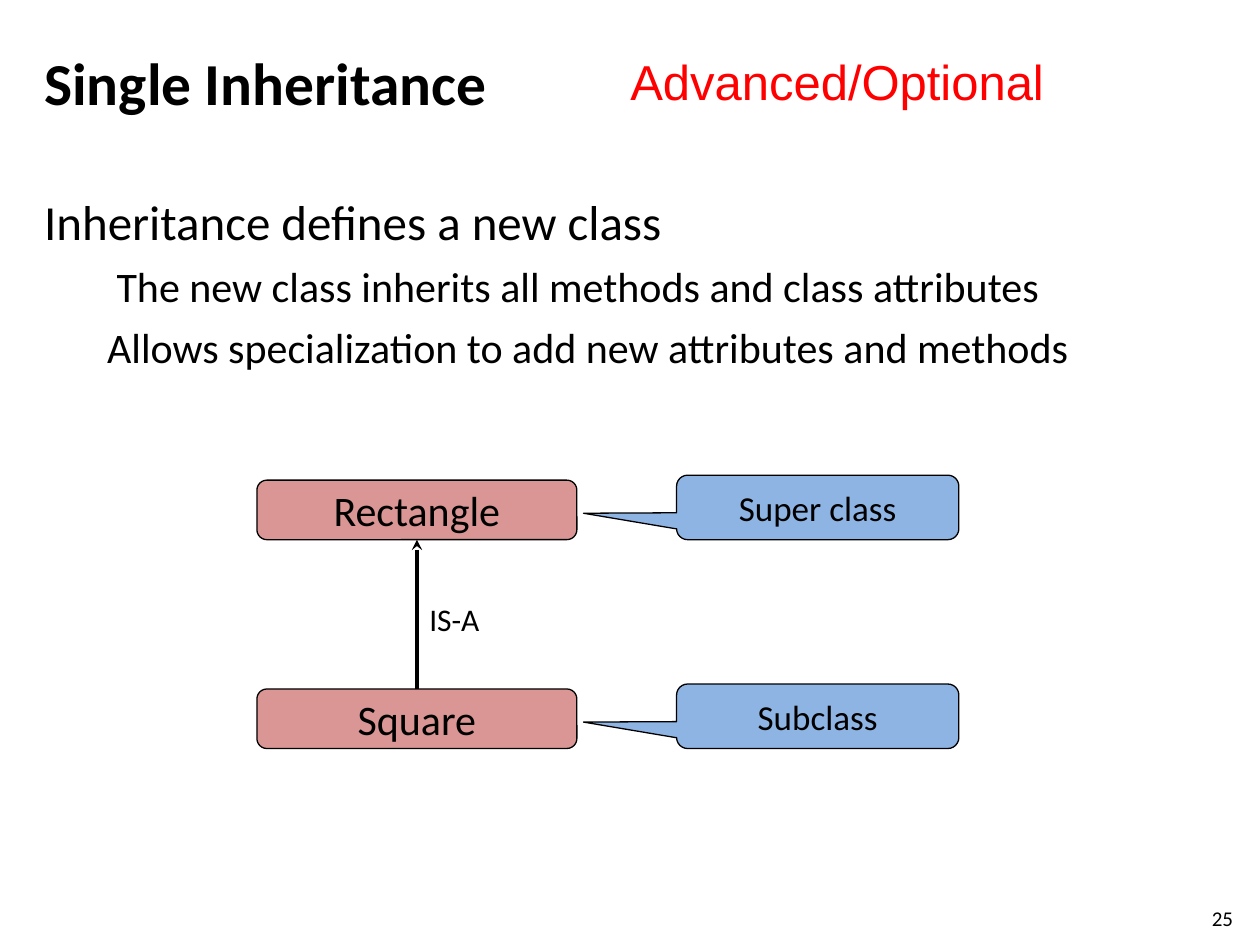
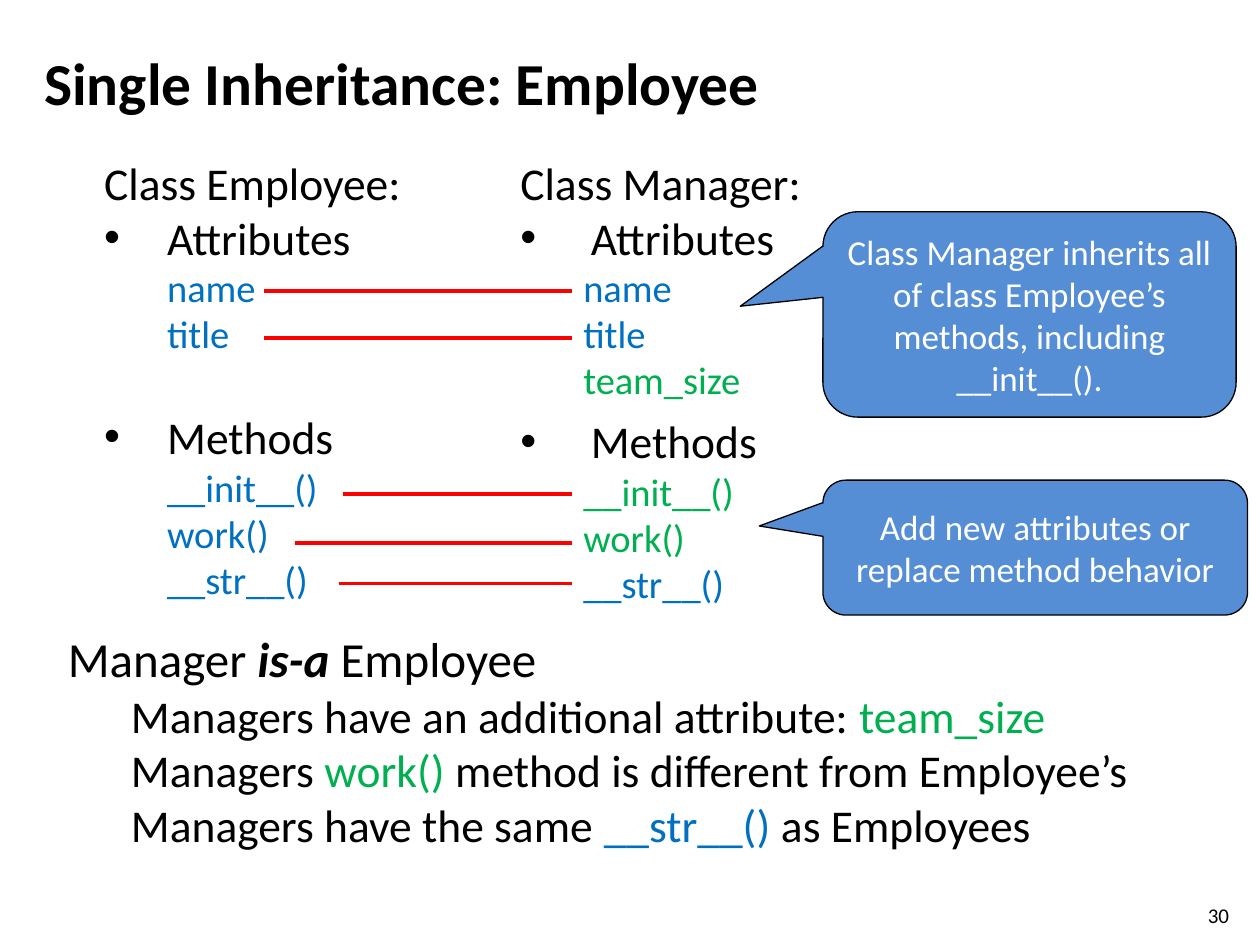
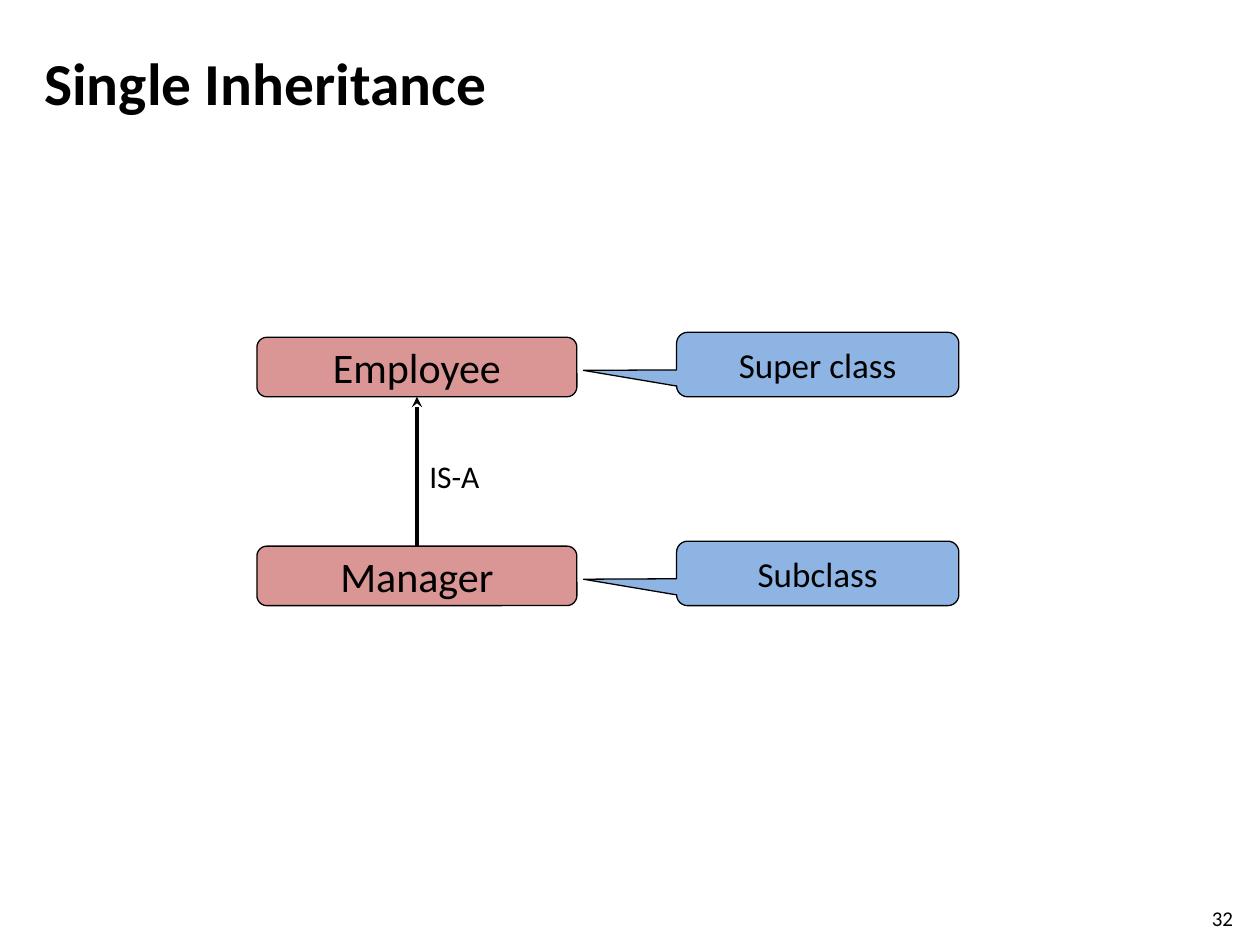
from lxml import etree
from pptx import Presentation
from pptx.dml.color import RGBColor
from pptx.enum.shapes import MSO_CONNECTOR, MSO_SHAPE
from pptx.enum.text import MSO_ANCHOR, PP_ALIGN
from pptx.oxml.ns import qn
from pptx.util import Cm, Pt

BLACK = RGBColor(0x00, 0x00, 0x00)
WHITE = RGBColor(0xFF, 0xFF, 0xFF)
RED = RGBColor(0xFF, 0x00, 0x00)
GREEN = RGBColor(0x00, 0xB0, 0x50)
BLUE = RGBColor(0x00, 0x70, 0xC0)
ROSE = RGBColor(0xD9, 0x96, 0x94)
LIGHT_BLUE = RGBColor(0x8E, 0xB4, 0xE3)
MID_BLUE = RGBColor(0x55, 0x8E, 0xD5)

LEFT, CENTER = PP_ALIGN.LEFT, PP_ALIGN.CENTER
TOP, MIDDLE = MSO_ANCHOR.TOP, MSO_ANCHOR.MIDDLE
ROUNDED = MSO_SHAPE.ROUNDED_RECTANGLE
CALLOUT = MSO_SHAPE.ROUNDED_RECTANGULAR_CALLOUT
STRAIGHT = MSO_CONNECTOR.STRAIGHT

FONT = "Calibri"
INDENT = 1.27
TITLE_ONLY = 5


def write(tf, text, size=24, color=BLACK, font=FONT, bold=False, align=LEFT,
          level=0, indent=0, bullet=False, after=0):
    """Add a paragraph; text is a string or a list of (text, format) runs."""
    p = tf.paragraphs[0]
    if p.runs:
        p = tf.add_paragraph()
    p.alignment, p.level = align, level
    p.space_before, p.space_after = Pt(0), Pt(after)
    pPr = p._p.get_or_add_pPr()
    pPr.set("marL", str(Cm(indent)))
    pPr.set("indent", str(-Cm(indent) if bullet else 0))
    if bullet:
        etree.SubElement(pPr, qn("a:buFont")).set("typeface", "Arial")
        etree.SubElement(pPr, qn("a:buChar")).set("char", "•")
    for part, style in [(text, {})] if isinstance(text, str) else text:
        r = p.add_run()
        r.text = part
        r.font.name, r.font.size = font, Pt(size)
        r.font.bold = style.get("bold", bold)
        r.font.italic = style.get("italic", False)
        r.font.color.rgb = style.get("color", color)


def add_text_box(s, x, y, w, h):
    tf = s.shapes.add_textbox(Cm(x), Cm(y), Cm(w), Cm(h)).text_frame
    tf.word_wrap = True
    tf.vertical_anchor = TOP
    return tf


def add_box(s, kind, x, y, w, h, text, fill, adjustments=(), **style):
    sp = s.shapes.add_shape(kind, Cm(x), Cm(y), Cm(w), Cm(h))
    for i, value in enumerate(adjustments):
        sp.adjustments[i] = value
    sp.shadow.inherit = False
    sp.fill.solid()
    sp.fill.fore_color.rgb = fill
    sp.line.color.rgb = BLACK
    sp.line.width = Pt(0.75)
    sp.text_frame.word_wrap = True
    sp.text_frame.vertical_anchor = MIDDLE
    write(sp.text_frame, text, align=CENTER, **style)


def add_line(s, x1, y1, x2, y2, color, arrow=False):
    cx = s.shapes.add_connector(STRAIGHT, Cm(x1), Cm(y1), Cm(x2), Cm(y2))
    cx.line.color.rgb = color
    cx.line.width = Pt(2)
    spPr = cx._element.spPr
    if arrow:
        ln = spPr.find(qn("a:ln"))
        etree.SubElement(ln, qn("a:tailEnd")).set("type", "stealth")
    etree.SubElement(spPr, qn("a:effectLst"))


def add_slide(prs, title, number, number_x=24.18, number_y=18.14):
    s = prs.slides.add_slide(prs.slide_layouts[TITLE_ONLY])
    sp = s.shapes.title
    sp.left, sp.top, sp.width, sp.height = Cm(0.64), Cm(0.76), Cm(22.02), Cm(1.78)
    sp.text_frame.vertical_anchor = MIDDLE
    write(sp.text_frame, title, size=34, bold=True)
    write(add_text_box(s, number_x, number_y, 1.02, 0.61), number, size=12)
    return s


def add_class_diagram(s, top, parent, child):
    """Draw parent above child, joined by an IS-A arrow, with role callouts."""
    x, w, h, pitch = 5.18, 6.45, 1.2, 4.21
    middle = x + w / 2
    for i, (name, role) in enumerate([(parent, "Super class"), (child, "Subclass")]):
        y = top + i * pitch
        add_box(s, ROUNDED, x, y, w, h, name, ROSE)
        add_box(s, CALLOUT, 13.64, y - 0.1, 5.69, h + 0.1, role, LIGHT_BLUE,
                (-0.83, 0.09, 0.17), size=20)
    add_line(s, middle, top + pitch, middle, top + h, BLACK, arrow=True)
    write(add_text_box(s, middle, top + 2.29, w / 2, 1.02), "IS-A", size=18)


def add_class_list(s, x, w, h, name, bullet_indent, groups):
    """groups holds (heading, [(member, colour)], space after the group)."""
    tf = add_text_box(s, x, 3, w, h)
    write(tf, f"Class {name}:", size=26)
    for heading, members, gap in groups:
        write(tf, heading, size=26, indent=bullet_indent, bullet=True)
        for i, (member, color) in enumerate(members, 1):
            write(tf, member, size=22, color=color, level=1, indent=INDENT,
                  after=gap if i == len(members) else 0)


def build_definition(prs):
    s = add_slide(prs, "Single Inheritance", "25")
    add_class_diagram(s, 9.68, "Rectangle", "Square")
    tf = add_text_box(s, 0.64, 3.73, 24.1, 3.94)
    write(tf, "Inheritance defines a new class", size=28, after=6)
    write(tf, "The new class inherits all methods and class attributes",
          level=1, indent=INDENT + 0.19, after=6)
    write(tf, "Allows specialization to add new attributes and methods",
          level=1, indent=INDENT, after=6)
    write(add_text_box(s, 10.41, 0.91, 12.93, 1.45), "Advanced/Optional",
          size=28, color=RED, font="Arial", align=CENTER)


def build_employee(prs):
    s = add_slide(prs, "Single Inheritance: Employee", "30", 24.1, 18.06)

    tf = add_text_box(s, 1.12, 12.55, 23.5, 3.58)
    write(tf, [("Manager ", {}), ("is-a", {"bold": True, "italic": True}),
               (" Employee", {})], size=28)
    for before, member, color, rest in [
            ("Managers have an additional attribute: ", "team_size", GREEN, ""),
            ("Managers ", "work()", GREEN, " method is different from Employee’s"),
            ("Managers have the same ", "__str__()", BLUE, " as Employees")]:
        runs = [(before, {}), (member, {"color": color})]
        if rest:
            runs.append((rest, {}))
        write(tf, runs, size=26, level=1, indent=INDENT)

    add_class_list(s, 1.85, 7.24, 9.75, "Employee", INDENT, [
        ("Attributes", [("name", BLUE), ("title", BLUE)], 30),
        ("Methods", [("__init__()", BLUE), ("work()", BLUE), ("__str__()", BLUE)], 12)])
    add_class_list(s, 10.24, 10.19, 9.42, "Manager", 1.42, [
        ("Attributes", [("name", BLUE), ("title", BLUE), ("team_size", GREEN)], 6),
        ("Methods", [("__init__()", GREEN), ("work()", GREEN), ("__str__()", BLUE)], 0)])
    for x, y in [(5.33, 5.87), (5.33, 6.81), (6.91, 9.96), (5.94, 10.95), (6.83, 11.76)]:
        add_line(s, x, y, 11.53, y, RED)

    add_box(s, CALLOUT, 16.59, 4.27, 8.33, 4.14,
            "Class Manager inherits all of class Employee’s methods, including __init__().",
            MID_BLUE, (-0.7, -0.04, 0.17), size=20, color=WHITE)
    add_box(s, CALLOUT, 16.59, 9.68, 8.56, 2.72,
            "Add new attributes or replace method behavior",
            MID_BLUE, (-0.65, -0.16, 0.17), size=20, color=WHITE)


def build_employee_diagram(prs):
    s = add_slide(prs, "Single Inheritance", "32")
    add_class_diagram(s, 6.8, "Employee", "Manager")


def main():
    prs = Presentation()
    prs.slide_width, prs.slide_height = Cm(25.4), Cm(19.05)
    build_definition(prs)
    build_employee(prs)
    build_employee_diagram(prs)
    prs.save("out.pptx")


if __name__ == "__main__":
    main()
